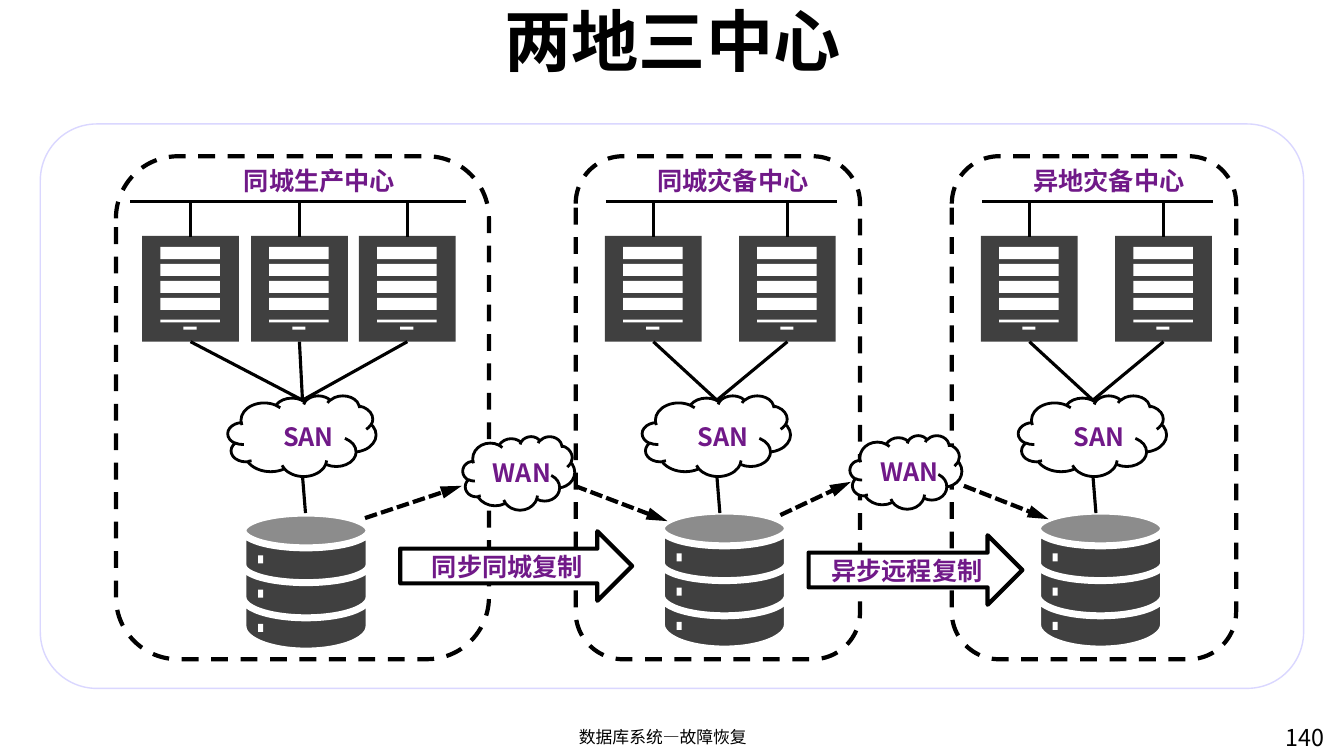
from pptx import Presentation
from pptx.dml.color import RGBColor
from pptx.enum.dml import MSO_LINE_DASH_STYLE as Dash
from pptx.enum.shapes import MSO_CONNECTOR, MSO_SHAPE as Shape
from pptx.enum.text import MSO_ANCHOR as Anchor, MSO_AUTO_SIZE as AutoSize, PP_ALIGN as Align
from pptx.oxml.ns import qn
from pptx.util import Inches, Pt
from lxml.etree import SubElement

CELL = Inches(0.1)
FONT = "Noto Sans CJK SC"
BLACK = RGBColor(0x00, 0x00, 0x00)
WHITE = RGBColor(0xFF, 0xFF, 0xFF)
GREY = RGBColor(0x40, 0x40, 0x40)
PURPLE = RGBColor(0x70, 0x19, 0x88)
LAVENDER = RGBColor(0xDA, 0xD7, 0xFF)

LABEL = {"size": Pt(18), "bold": True, "color": PURPLE}
TITLE = {"size": Pt(48), "bold": True, "color": BLACK}
FOOTER = {"size": Pt(12), "bold": False, "color": BLACK}
NUMBER = {"size": Pt(16.6), "bold": False, "color": BLACK}


def cells(*lengths):
    """Turn counts of grid columns or rows into slide lengths."""
    return [round(length * CELL) for length in lengths]


def apply(target, values):
    """Set each named attribute on the target."""
    for name, value in values.items():
        setattr(target, name, value)


def write(frame, words, style, align=Align.LEFT, **settings):
    """Put one styled paragraph into a text frame."""
    apply(frame, {"word_wrap": True, **settings})
    para = frame.paragraphs[0]
    para.alignment = align
    span = para.add_run()
    span.text = words
    span.font.color.rgb = style["color"]
    apply(span.font, {"name": FONT, "size": style["size"], "bold": style["bold"]})
    SubElement(span.font._element, qn("a:ea")).set("typeface", FONT)


def add_label(page, place, words, style=LABEL, align=Align.LEFT, **settings):
    """Add a text box at a grid place."""
    write(page.shapes.add_textbox(*cells(*place)).text_frame, words, style, align, **settings)


def add_figure(page, kind, place, fill=None, line=None, width=1, dash=None, adjust=None):
    """Add a preset shape at a grid place."""
    figure = page.shapes.add_shape(kind, *cells(*place))
    figure.shadow.inherit = False
    if fill is None:
        figure.fill.background()
    else:
        figure.fill.solid()
        figure.fill.fore_color.rgb = fill
    if line is None:
        figure.line.fill.background()
    else:
        figure.line.color.rgb = line
        apply(figure.line, {"width": Pt(width), "dash_style": dash})
    if adjust is not None:
        figure.adjustments[0] = adjust
    return figure


def add_link(page, start, end, width=2.25, arrow=False):
    """Add a plain line, or a dashed line with an arrowhead."""
    link = page.shapes.add_connector(MSO_CONNECTOR.STRAIGHT, *cells(*start, *end))
    link.line.color.rgb = BLACK
    link.line.width = Pt(width)
    if arrow:
        link.line.dash_style = Dash.SQUARE_DOT
        head = SubElement(link.line._get_or_add_ln(), qn("a:tailEnd"))
        head.set("type", "triangle")
        head.set("len", "lg")
    SubElement(link._element.spPr, qn("a:effectLst"))


def add_server(page, left, top=23.4):
    """Draw a server with four drive bays, a slot and a button."""
    add_figure(page, Shape.RECTANGLE, (left, top, 9.6, 10.5), GREY)
    bays = [(1.8, 1.1 + 1.68 * row, 5.9, 1.2) for row in range(4)]
    for across, down, width, height in bays + [(1.8, 8.3, 5.9, 0.3), (4.1, 9, 1.3, 0.3)]:
        add_figure(page, Shape.RECTANGLE, (left + across, top + down, width, height), WHITE)


def add_disk(page, left, top):
    """Draw a storage cylinder of three layers with a lamp on each."""
    for height, down, bend in ((13.7, 0, 0.39), (10.3, 0.1, 0.39), (6.9, 0, 0.5)):
        add_figure(page, Shape.CAN, (left, top + down, 12.5, height), GREY, WHITE, 5, adjust=bend)
    for layer in range(3):
        lamp = (left + 1.5, top + 4.2 + 3.4 * layer, 0.5, 0.8)
        add_figure(page, Shape.RECTANGLE, lamp, WHITE)


def add_cloud(page, place, words, inset, drop, label_width, fill=None):
    """Draw a network cloud with its label."""
    left, top, width, height = place
    add_figure(page, Shape.CLOUD, place, fill, BLACK, 2)
    add_label(page, (left + inset, top + drop, label_width, 4), words,
              word_wrap=False, auto_size=AutoSize.SHAPE_TO_FIT_TEXT)


def add_center(page, name, left, width, name_shift, bus_shift, servers, cloud, disk, disk_top):
    """Draw a data center: frame, bus, servers, SAN cloud and storage."""
    add_figure(page, Shape.ROUNDED_RECTANGLE, (left, 15.5, width, 49.9), None, BLACK, 3, Dash.DASH)
    add_disk(page, disk, disk_top)
    hub = cloud + 7.4
    for server in servers:
        add_server(page, server)
        middle = server + 4.8
        add_link(page, (middle, 20), (middle, 23.5))
        add_link(page, (middle, 33.9), (hub, 39.7))
    add_link(page, (left + bus_shift, 20), (left + width - 2.3, 20))
    add_cloud(page, (cloud, 39.25, 14.7, 8), "SAN", 4.5, 2.1, 7.6)
    add_link(page, (hub, 47.2), (hub + 0.3, 50.9))
    add_label(page, (left + name_shift, 15.95, 19.2, 4), name)


def add_copy_arrow(page, place, words):
    """Draw a block arrow that names a replication mode."""
    arrow = add_figure(page, Shape.RIGHT_ARROW, place, WHITE, BLACK, 3)
    write(arrow.text_frame, words, LABEL, Align.CENTER, vertical_anchor=Anchor.MIDDLE)


def main():
    """Build the slide and save it."""
    deck = Presentation()
    apply(deck, {"slide_width": Inches(13.33), "slide_height": Inches(7.5)})
    page = deck.slides.add_slide(deck.slide_layouts[5])
    title = page.shapes.title
    apply(title, dict(zip(("left", "top", "width", "height"), cells(11.5, 0.2, 110.4, 7.4))))
    write(title.text_frame, "两地三中心", TITLE, Align.CENTER,
          vertical_anchor=Anchor.MIDDLE, auto_size=AutoSize.NONE)
    add_figure(page, Shape.ROUNDED_RECTANGLE, (4, 12.3, 125.3, 56), WHITE, LAVENDER, adjust=0.1)
    add_label(page, (44.7, 71.6, 42.1, 3.4), "数据库系统—故障恢复", FOOTER, Align.CENTER)
    add_label(page, (126.5, 71.3, 8.4, 5.2), "140", NUMBER)

    add_center(page, "同城生产中心", 11.5, 37, 11.7, 1.4, (14.1, 24.9, 35.6), 22.6, 24.1, 50.9)
    for name, left in (("同城灾备中心", 57.1), ("异地灾备中心", 94.4)):
        add_center(page, name, left, 28.2, 7.1, 3, (left + 2.9, left + 16.2),
                   left + 6.6, left + 8.5, 50.7)

    add_copy_arrow(page, (39.7, 52.7, 23, 6.9), "同步同城复制")
    add_copy_arrow(page, (80.2, 53.1, 21.2, 6.9), "异步远程复制")
    for left, top in ((45.9, 43.3), (84.3, 43.2)):
        add_cloud(page, (left, top, 11.1, 7.3), "WAN", 2, 1.6, 8.7, WHITE)
    for start, end in (((36.2, 51.4), (45.8, 48.2)), ((57, 48.2), (66.2, 51.7)),
                       ((77.4, 51.1), (84.4, 47.8)), ((95.6, 48.2), (104, 51.5))):
        add_link(page, start, end, 3, arrow=True)
    deck.save("out.pptx")


if __name__ == "__main__":
    main()
